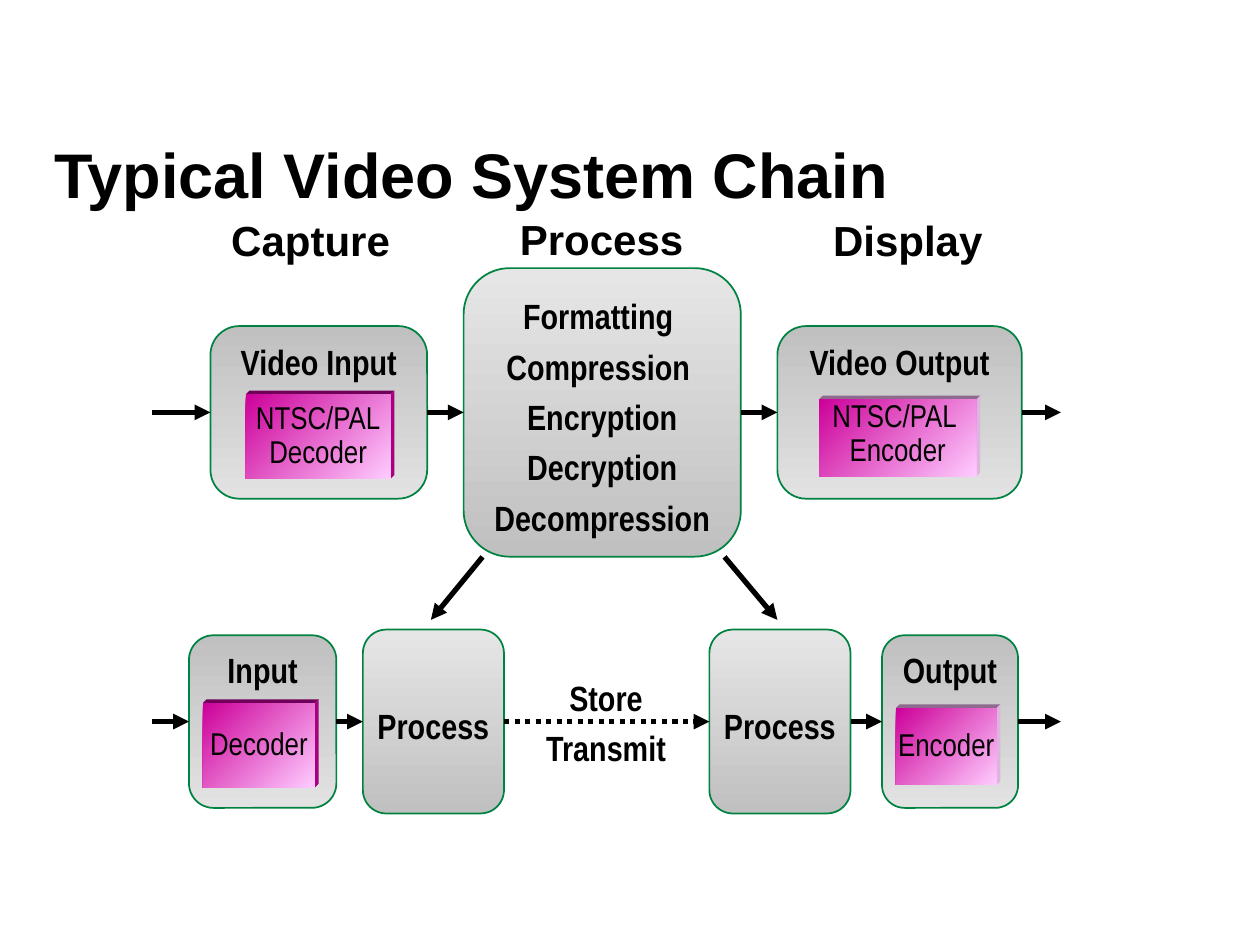
from dataclasses import dataclass
from itertools import pairwise
from typing import NamedTuple

from lxml.etree import SubElement
from pptx import Presentation
from pptx.dml.color import RGBColor as Rgb
from pptx.enum.dml import MSO_LINE_DASH_STYLE as Dash
from pptx.enum.shapes import MSO_CONNECTOR as Link, MSO_SHAPE as Kind
from pptx.enum.text import MSO_ANCHOR as Anchor, MSO_AUTO_SIZE as Auto, PP_ALIGN as Align
from pptx.oxml.ns import qn
from pptx.util import Inches, Pt


@dataclass(frozen=True)
class Theme:
    ink: str = "000000"
    edge: str = "008241"
    port: tuple = ("C0C0C0", "E2E2E2")
    core: tuple = ("E6E6E6", "C0C0C0")
    pink: tuple = ("CC0099", "FFCCFF")
    deep: tuple = ("70005A", "A8007E")
    pale: tuple = ("8E6A8E", "DDB4DD")
    sans: str = "Arial"
    slim: str = "Arial Narrow"
    title: int = 36
    head: int = 24
    body: int = 20
    chip: int = 18
    thin: int = 1
    bold: int = 3


class Node(NamedTuple):
    left: float
    wide: float
    high: float
    rail: float
    lines: list
    core: bool


class Chip(NamedTuple):
    left: float
    top: float
    wide: float
    high: float
    lines: list
    sides: tuple
    mid: bool = True


class Head(NamedTuple):
    left: float
    top: float
    wide: float
    high: float
    word: str
    gap: float


LOOK = Theme()
COLS, ROWS = 100, 75
LIP = 0.3
TOP, LOW = 32.73, 57.27
START, END = 12.1, 84.2

deck = Presentation()
deck.slide_width, deck.slide_height = Inches(10), Inches(7.5)
page = deck.slides.add_slide(deck.slide_layouts[5])
shapes = page.shapes


def col(n: float) -> int:
    return round(deck.slide_width * n / COLS)


def row(n: float) -> int:
    return round(deck.slide_height * n / ROWS)


def area(left: float, top: float, wide: float, high: float) -> tuple:
    return col(left), row(top), col(wide), row(high)


def apply(item, form: dict) -> None:
    for key, val in form.items():
        setattr(item, key, val)


def write(shape, lines: list, face: str, size: int, bold: bool = True,
          gap: float = 1.0, align=Align.CENTER, **form) -> None:
    frame = shape.text_frame
    apply(frame, {"auto_size": Auto.NONE, "vertical_anchor": Anchor.MIDDLE} | form)
    for num, line in enumerate(lines):
        para = frame.add_paragraph() if num else frame.paragraphs[0]
        para.text = line
        apply(para, {"alignment": align, "line_spacing": gap})
        for run in para.runs:
            apply(run.font, {"name": face, "size": Pt(size), "bold": bold})
            run.font.color.rgb = Rgb.from_string(LOOK.ink)


def margins(size: float) -> dict:
    return {f"margin_{side}": Inches(size) for side in ("left", "top", "right", "bottom")}


def shade(shape, tones: tuple, angle: int) -> None:
    shape.shadow.inherit = False
    shape.fill.gradient()
    shape.fill.gradient_angle = angle
    for stop, tone in zip(shape.fill.gradient_stops, tones):
        stop.color.rgb = Rgb.from_string(tone)


def draw_node(node: Node):
    top = node.rail - node.high / 2
    box = shapes.add_shape(Kind.ROUNDED_RECTANGLE, *area(node.left, top, node.wide, node.high))
    shade(box, LOOK.core if node.core else LOOK.port, 270)
    box.line.color.rgb = Rgb.from_string(LOOK.edge)
    box.line.width = Pt(LOOK.thin)
    write(box, node.lines, LOOK.slim, LOOK.body, gap=1.2 if node.core else 1.0,
          word_wrap=False, vertical_anchor=Anchor.MIDDLE if node.core else Anchor.TOP)
    return box


def draw_side(dots: list, tone: str) -> None:
    pen = shapes.build_freeform(col(dots[0][0]), row(dots[0][1]))
    pen.add_line_segments([(col(x), row(y)) for x, y in dots[1:]])
    side = pen.convert_to_shape()
    side.shadow.inherit = False
    side.fill.solid()
    side.fill.fore_color.rgb = Rgb.from_string(tone)
    side.line.fill.background()


def draw_chip(chip: Chip) -> None:
    left, top = chip.left, chip.top
    right, base = left + chip.wide, top + chip.high
    draw_side([(left, top), (left + LIP, top - LIP), (right + LIP, top - LIP), (right, top)],
              chip.sides[0])
    draw_side([(right, top), (right + LIP, top - LIP), (right + LIP, base - LIP), (right, base)],
              chip.sides[1])
    box = shapes.add_shape(Kind.RECTANGLE, *area(left, top, chip.wide, chip.high))
    shade(box, LOOK.pink, 315)
    box.line.fill.background()
    write(box, chip.lines, LOOK.slim, LOOK.chip, False, 0.9, word_wrap=True,
          vertical_anchor=Anchor.MIDDLE if chip.mid else Anchor.TOP, **margins(0.01))


def draw_head(head: Head) -> None:
    box = shapes.add_textbox(*area(*head[:4]))
    write(box, [head.word], LOOK.sans, LOOK.head, gap=head.gap, word_wrap=True, **margins(0))


def arrow(tail: tuple, tip: tuple, head=None, goal=None, dots: bool = False) -> None:
    line = shapes.add_connector(Link.STRAIGHT, col(tail[0]), row(tail[1]), col(tip[0]), row(tip[1]))
    if head is not None:
        line.begin_connect(head, 3)
    if goal is not None:
        line.end_connect(goal, 1)
    line.line.color.rgb = Rgb.from_string(LOOK.ink)
    line.line.width = Pt(LOOK.bold)
    if dots:
        line.line.dash_style = Dash.ROUND_DOT
    props = line._element.spPr
    SubElement(props.find(qn("a:ln")), qn("a:tailEnd"), type="triangle")
    SubElement(props, qn("a:effectLst"))


def draw_chain(nodes: list, dots: int = -1) -> None:
    boxes = [draw_node(node) for node in nodes]
    rail = nodes[0].rail
    arrow((START, rail), (nodes[0].left, rail), goal=boxes[0])
    for num, ((one, head), (two, goal)) in enumerate(pairwise(zip(nodes, boxes))):
        arrow((one.left + one.wide, rail), (two.left, rail), head, goal, num == dots)
    last = nodes[-1]
    arrow((last.left + last.wide, rail), (END, rail), head=boxes[-1])


STEPS = ["Formatting \vCompression \vEncryption", "Decryption\vDecompression"]
UPPER = [
    Node(16.7, 17.2, 13.7, TOP, ["Video Input"], False),
    Node(36.8, 22, 22.9, TOP, STEPS, True),
    Node(61.7, 19.4, 13.7, TOP, ["Video Output"], False),
]
LOWER = [
    Node(15, 11.7, 13.7, LOW, ["Input"], False),
    Node(28.8, 11.2, 14.6, LOW, ["Process"], True),
    Node(56.3, 11.2, 14.6, LOW, ["Process"], True),
    Node(70, 10.8, 13.7, LOW, ["Output"], False),
]
CHIPS = [
    Chip(19.5, 31.3, 11.5, 6.7, ["NTSC/PAL", "Decoder"], LOOK.deep),
    Chip(65, 31.7, 12.5, 6.1, ["NTSC/PAL \vEncoder"], LOOK.pale, False),
    Chip(16.1, 55.8, 8.9, 6.7, ["Decoder"], LOOK.deep),
    Chip(71.1, 56.2, 8, 6.1, ["Encoder"], LOOK.pale),
]
HEADS = [
    Head(14.3, 17.5, 20.7, 3.6, "Capture", 0.9),
    Head(36.4, 17.7, 22.7, 3.2, "Process", 0.8),
    Head(58.3, 17.5, 27.5, 3.6, "Display", 0.9),
]

title = shapes.title
apply(title, dict(zip(("left", "top", "width", "height"), area(3.3, 7.5, 95, 12.5))))
write(title, ["Typical Video System Chain"], LOOK.sans, LOOK.title, align=Align.LEFT)
for head in HEADS:
    draw_head(head)
draw_chain(UPPER)
draw_chain(LOWER, dots=1)
for chip in CHIPS:
    draw_chip(chip)
note = shapes.add_textbox(*area(42.5, 52, 11.2, 10))
write(note, ["Store\vTransmit"], LOOK.slim, LOOK.body, gap=1.2, word_wrap=False)
for tail, tip in ((38.3, 34.2), (57.5, 61.7)):
    arrow((tail, 44.2), (tip, 49.2))

deck.save("out.pptx")
